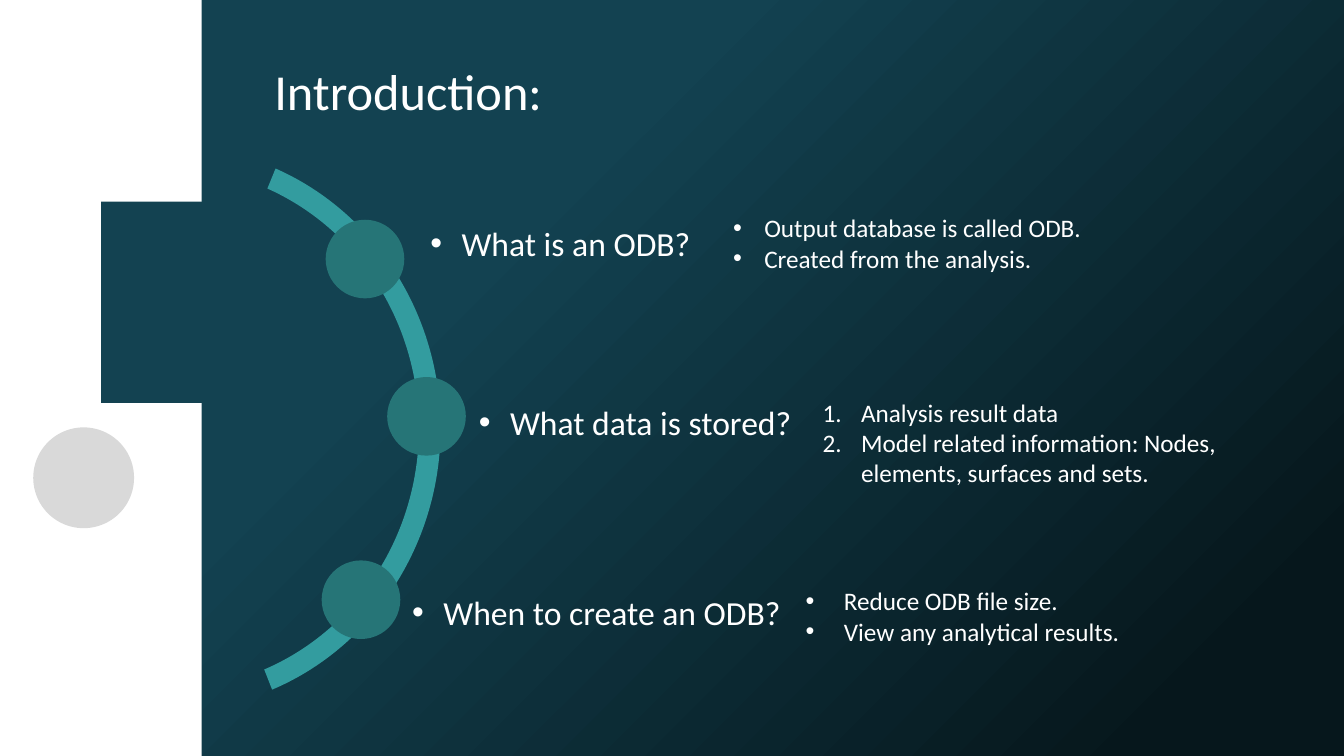
from lxml import etree
from pptx import Presentation
from pptx import util as u
from pptx.dml.color import RGBColor
from pptx.enum import shapes, text
from pptx.oxml import ns

WHITE, TEAL, DARK_TEAL, GREY = "FFFFFF", "339C9F", "267577", "D9D9D9"
NODE_SIZE = 0.78
PANEL_WIDTH = 1.66
NOTCH_CURVES = [
    ((1.66, 1.85), (1.41, 2.31), (1, 2.37), (1.01, 2.83)),
    ((1.01, 2.83), (1.01, 3.3), (1.4, 3.37), (1.66, 3.79)),
]
TOPICS = [
    {
        "node": (3.23, 2.18),
        "label": ("What is an ODB?", (4.17, 2.16, 2.84, 0.5)),
        "details": ["Output database is called ODB.", "Created from the analysis."],
        "box": (7.17, 2.06, 4.07, 0.71),
        "indent": 0.31,
        "numbered": False,
    },
    {
        "node": (3.84, 3.74),
        "label": ("What data is stored?", (4.65, 3.94, 3.41, 0.5)),
        "details": [
            "Analysis result data",
            "Model related information: Nodes, elements, surfaces and sets.",
        ],
        "box": (8.06, 3.89, 4.27, 1.01),
        "indent": 0.38,
        "numbered": True,
    },
    {
        "node": (3.19, 5.56),
        "label": ("When to create an ODB?", (3.99, 5.82, 4.07, 0.5)),
        "details": ["Reduce ODB file size.", "View any analytical results."],
        "box": (7.89, 5.76, 4.27, 0.71),
        "indent": 0.38,
        "numbered": False,
    },
]


def color(value):
    """Return the colour for a hex string."""
    return RGBColor.from_string(value)


def apply(target, values):
    """Set every attribute in a dict of format values."""
    for name, value in values.items():
        setattr(target, name, value)


def place(shape, box):
    """Move a shape to a box given in inches."""
    names = ("left", "top", "width", "height")
    apply(shape, dict(zip(names, map(u.Inches, box))))


def paint(shape, fill):
    """Give a shape a plain fill without line or shadow."""
    shape.shadow.inherit = False
    shape.fill.solid()
    shape.fill.fore_color.rgb = color(fill)
    shape.line.fill.background()


def add_preset(slide, kind, box, fill):
    """Add a painted preset shape."""
    shape = slide.shapes.add_shape(kind, *map(u.Inches, box))
    paint(shape, fill)
    return shape


def set_bullet(paragraph, indent, numbered):
    """Give a paragraph a hanging bullet or number."""
    properties = paragraph._p.get_or_add_pPr()
    properties.set("marL", str(u.Inches(indent)))
    properties.set("indent", str(-u.Inches(indent)))
    etree.SubElement(properties, ns.qn("a:buFont"), typeface="Calibri" if numbered else "Arial")
    if numbered:
        etree.SubElement(properties, ns.qn("a:buAutoNum"), type="arabicPeriod")
    else:
        etree.SubElement(properties, ns.qn("a:buChar"), char="•")


def write(shape, lines, size, indent=0, numbered=False, spacing=1.0,
          auto_size=text.MSO_AUTO_SIZE.SHAPE_TO_FIT_TEXT):
    """Write white paragraphs, with bullets when an indent is given."""
    frame = shape.text_frame
    apply(frame, {
        "word_wrap": True,
        "auto_size": auto_size,
        "vertical_anchor": text.MSO_ANCHOR.TOP,
    })
    for index, line in enumerate(lines):
        paragraph = frame.add_paragraph() if index else frame.paragraphs[0]
        if indent:
            set_bullet(paragraph, indent, numbered)
        apply(paragraph, {
            "alignment": text.PP_ALIGN.LEFT,
            "line_spacing": spacing,
            "space_before": u.Pt(0),
        })
        run = paragraph.add_run()
        run.text = line
        apply(run.font, {"name": "Calibri", "size": u.Pt(size), "bold": False})
        run.font.color.rgb = color(WHITE)


def set_background(slide):
    """Fill the background with a diagonal gradient."""
    fill = slide.background.fill
    fill.gradient()
    fill.gradient_angle = 135
    stops = ((0.1, "06171C"), (0.65, "134251"))
    for stop, (position, value) in zip(fill.gradient_stops, stops):
        stop.position = position
        stop.color.rgb = color(value)


def curve_points(curve, steps=24):
    """Return points along a cubic curve, after its start."""
    points = []
    for step in range(1, steps + 1):
        t = step / steps
        weights = ((1 - t) ** 3, 3 * t * (1 - t) ** 2, 3 * t * t * (1 - t), t ** 3)
        points.append(tuple(
            sum(weight * point[axis] for weight, point in zip(weights, curve))
            for axis in (0, 1)
        ))
    return points


def add_side_panel(slide, height):
    """Add the notched white panel and its grey disc."""
    outline = [(PANEL_WIDTH, 0), NOTCH_CURVES[0][0]]
    for curve in NOTCH_CURVES:
        outline += curve_points(curve)
    outline += [(PANEL_WIDTH, height), (0, height)]
    builder = slide.shapes.build_freeform(0, 0, scale=u.Inches(1))
    builder.add_line_segments(outline, close=True)
    paint(builder.convert_to_shape(), WHITE)
    add_preset(slide, shapes.MSO_SHAPE.OVAL, (0.33, 4.24, 1, 1), GREY)


def add_title(slide, box):
    """Place the slide title."""
    title = slide.shapes.title
    place(title, box)
    write(title, ["Introduction:"], 36, spacing=0.9, auto_size=text.MSO_AUTO_SIZE.NONE)


def add_arc(slide, box):
    """Add the arc that links the topics."""
    arc = add_preset(slide, shapes.MSO_SHAPE.BLOCK_ARC, box, TEAL)
    for index, value in enumerate((175.28, 41.18, 0.04)):
        arc.adjustments[index] = value


def add_topic(slide, topic, body):
    """Add a topic's node, its label and its list."""
    node = (*topic["node"], NODE_SIZE, NODE_SIZE)
    add_preset(slide, shapes.MSO_SHAPE.OVAL, node, DARK_TEAL)
    wording, box = topic["label"]
    label = slide.shapes.add_textbox(*map(u.Inches, box))
    write(label, [wording], 24, indent=0.31)
    place(body, topic["box"])
    write(body, topic["details"], 18, topic["indent"], topic["numbered"])


def main():
    """Build the introduction slide."""
    presentation = Presentation()
    apply(presentation, {"slide_width": u.Inches(13.33), "slide_height": u.Inches(7.5)})
    layout = presentation.slide_layouts.get_by_name("Comparison")
    slide = presentation.slides.add_slide(layout)
    set_background(slide)
    add_side_panel(slide, 7.5)
    add_title(slide, (2.62, 0.61, 9.71, 0.82))
    add_arc(slide, (-1, 1.45, 5.37, 5.6))
    title, *bodies = slide.placeholders
    for topic, body in zip(TOPICS, bodies):
        add_topic(slide, topic, body)
    for spare in bodies[len(TOPICS):]:
        spare.element.getparent().remove(spare.element)
    presentation.save("out.pptx")


if __name__ == "__main__":
    main()
